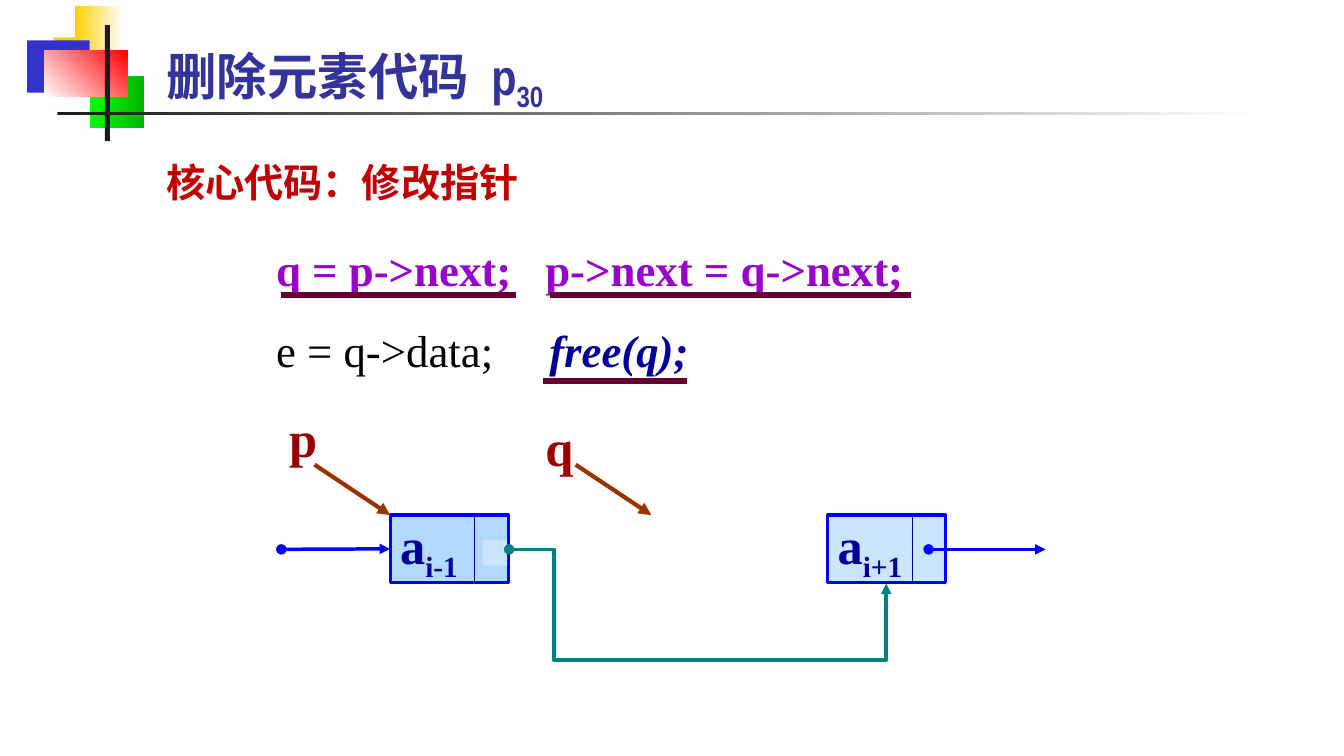
from dataclasses import dataclass

from lxml import etree
from pptx import Presentation
from pptx import util as u
from pptx.dml.color import RGBColor
from pptx.enum import shapes, text
from pptx.oxml.ns import qn

Inches, Pt = u.Inches, u.Pt


@dataclass(frozen=True)
class Theme:
    serif: str = "Times New Roman"
    narrow: str = "Arial Narrow"
    chinese: str = "Noto Sans CJK SC"
    title: str = "333399"
    heading: str = "C00000"
    code: str = "9900CC"
    black: str = "000000"
    navy: str = "000099"
    pointer: str = "990000"
    pointer_arrow: str = "993300"
    underline: str = "660033"
    blue: str = "0000FF"
    teal: str = "008080"
    deep_node: str = "B2D9FF"
    pale_node: str = "CCE5FF"
    large: int = 36
    medium: int = 32
    small: int = 28


THEME = Theme()
NODE_TOP, NODE_WIDTH, NODE_HEIGHT = 5.11, 1.17, 0.67
NODE_MIDDLE = 5.45
DIVIDER_OFFSET = 0.84


def rgb(value):
    return RGBColor.from_string(value)


def add_block(page, at, colors, angle=0):
    """Add a borderless rectangle: one colour is solid, two make a gradient."""
    block = page.shapes.add_shape(shapes.MSO_SHAPE.RECTANGLE, *map(Inches, at))
    block.shadow.inherit = False
    block.line.fill.background()
    if len(colors) == 1:
        block.fill.solid()
        block.fill.fore_color.rgb = rgb(colors[0])
    else:
        block.fill.gradient()
        block.fill.gradient_angle = angle
        for stop, color in zip(block.fill.gradient_stops, colors):
            stop.color.rgb = rgb(color)
    return block


def add_span(para, words, size, color, face=THEME.serif, bold=True, italic=False):
    span = para.add_run()
    span.text = words
    font = span.font
    font.size, font.bold, font.italic, font.name = Pt(size), bold, italic, face
    font.color.rgb = rgb(color)
    east_asian = etree.SubElement(font._element, qn("a:ea"))
    east_asian.set("typeface", THEME.chinese)
    return span


def add_subscript(para, words, size, color, face=THEME.serif):
    span = add_span(para, words, size, color, face)
    span.font._element.set("baseline", "-25000")


def add_text_box(page, at, anchor=text.MSO_ANCHOR.TOP):
    frame = page.shapes.add_textbox(*map(Inches, at)).text_frame
    frame.word_wrap = True
    frame.vertical_anchor = anchor
    return frame


def set_tab(para, position):
    tabs = etree.SubElement(para._p.get_or_add_pPr(), qn("a:tabLst"))
    etree.SubElement(tabs, qn("a:tab"), pos=str(Inches(position)), algn="l")


def add_line(page, start, end, color, width, head=None, tail=None,
             kind=shapes.MSO_CONNECTOR.STRAIGHT):
    line = page.shapes.add_connector(kind, *map(Inches, (*start, *end)))
    line.line.color.rgb = rgb(color)
    line.line.width = Pt(width)
    outline = line.line._get_or_add_ln()
    for tag, style in (("a:headEnd", head), ("a:tailEnd", tail)):
        if style:
            etree.SubElement(outline, qn(tag), type=style)
    etree.SubElement(line._element.spPr, qn("a:effectLst"))
    return line


def add_link(page, start_x, end_x):
    return add_line(page, (start_x, NODE_MIDDLE), (end_x, NODE_MIDDLE),
                    THEME.blue, 2.5, "oval", "triangle")


def add_node(page, left, index, color):
    """Add a list node with its data and pointer fields."""
    node = add_block(page, (left, NODE_TOP, NODE_WIDTH, NODE_HEIGHT), [color])
    node.line.color.rgb = rgb(THEME.blue)
    node.line.width = Pt(2.25)
    frame = node.text_frame
    frame.word_wrap = True
    frame.vertical_anchor = text.MSO_ANCHOR.MIDDLE
    para = frame.paragraphs[0]
    para.alignment = text.PP_ALIGN.LEFT
    add_span(para, "a", THEME.large, THEME.navy)
    add_subscript(para, index, THEME.large, THEME.navy)
    divider = left + DIVIDER_OFFSET
    add_line(page, (divider, NODE_TOP), (divider, NODE_TOP + NODE_HEIGHT),
             THEME.navy, 0.75)
    return node


def add_bypass(page):
    """Add the elbow arrow that skips the deleted node."""
    bypass = add_line(page, (5.05, NODE_MIDDLE), (8.79, 5.79), THEME.teal, 2.5,
                      "oval", "triangle", shapes.MSO_CONNECTOR.ELBOW)
    geometry = bypass._element.spPr.find(qn("a:prstGeom"))
    geometry.set("prst", "bentConnector4")
    guides = geometry.find(qn("a:avLst"))
    for name, value in (("adj1", 11900), ("adj2", 322400)):
        etree.SubElement(guides, qn("a:gd"), name=name, fmla=f"val {value}")


def add_decoration(page):
    for at, colors, angle in (
        ((0.53, 0.37, 0.64, 0.52), ["FFCF01"], 0),
        ((0.74, 0.06, 0.48, 0.52), ["FFCF01", "FFFFFF"], 0),
        ((0.27, 0.4, 0.62, 0.52), ["3333CC"], 0),
        ((0.89, 0.75, 0.54, 0.52), ["00FF00", "00B600"], 0),
        ((0.44, 0.5, 0.82, 0.46), ["FFFFFF", "FF0000"], 45),
        ((1.04, 0.25, 0.05, 1.15), ["1C1C1C"], 0),
        ((0.57, 1.11, 12, 0.03), ["1C1C1C", "FFFFFF"], 0),
    ):
        add_block(page, at, colors, angle)


def write_title(page):
    title = page.shapes.title
    title.left, title.top, title.width, title.height = map(
        Inches, (1.55, 0.44, 8.3, 0.69))
    title.text_frame.vertical_anchor = text.MSO_ANCHOR.MIDDLE
    para = title.text_frame.paragraphs[0]
    para.alignment = text.PP_ALIGN.LEFT
    style = (THEME.large, THEME.title, THEME.narrow)
    add_span(para, "删除元素代码", *style)
    add_span(para, " ", *style).font._element.set("spc", "800")
    add_span(para, "p", *style)
    add_subscript(para, "30", *style)
    title.element.getparent().append(title.element)  # above the decoration


def write_code(page):
    heading = add_text_box(page, (1.55, 1.34, 3.74, 0.7), text.MSO_ANCHOR.MIDDLE)
    heading.paragraphs[0].line_spacing = 1.5
    add_span(heading.paragraphs[0], "核心代码：修改指针", THEME.small,
             THEME.heading, THEME.chinese)

    frame = add_text_box(page, (2.64, 2.08, 6.64, 1.7), text.MSO_ANCHOR.BOTTOM)
    pointers, release = frame.paragraphs[0], frame.add_paragraph()
    for para, tab in ((pointers, 2.67), (release, 2.71)):
        para.line_spacing = 1.5
        set_tab(para, tab)
    add_span(pointers, "q = p->next;\tp->next = q->next;", THEME.medium, THEME.code)
    add_span(release, "e = q->data;\t", THEME.medium, THEME.black, bold=False)
    add_span(release, "free(q);", THEME.medium, THEME.navy, italic=True)

    for start, end, y in ((2.79, 5.12, 2.93), (5.46, 9.04, 2.93), (5.39, 6.81, 3.78)):
        add_line(page, (start, y), (end, y), THEME.underline, 4.5)


def draw_list(page):
    previous = add_node(page, 3.87, "i-1", THEME.deep_node)
    add_block(page, (4.79, 5.36, 0.24, 0.25), [THEME.pale_node])
    add_node(page, 8.21, "i+1", THEME.pale_node)
    add_link(page, 2.79, 3.87).end_connect(previous, 1)
    add_link(page, 9.21, 10.37)
    add_bypass(page)
    for name, left, top, arrow_x in (("p", 2.77, 3.99, 3.12), ("q", 5.31, 4.08, 5.71)):
        label = add_text_box(page, (left, top, 0.48, 0.7))
        add_span(label.paragraphs[0], name, THEME.large, THEME.pointer)
        add_line(page, (arrow_x, 4.61), (arrow_x + 0.75, 5.11),
                 THEME.pointer_arrow, 3, tail="triangle")


def main():
    deck = Presentation()
    deck.slide_width, deck.slide_height = Inches(13.33), Inches(7.5)
    page = deck.slides.add_slide(deck.slide_layouts[5])
    add_decoration(page)
    write_title(page)
    write_code(page)
    draw_list(page)
    deck.save("out.pptx")


if __name__ == "__main__":
    main()
